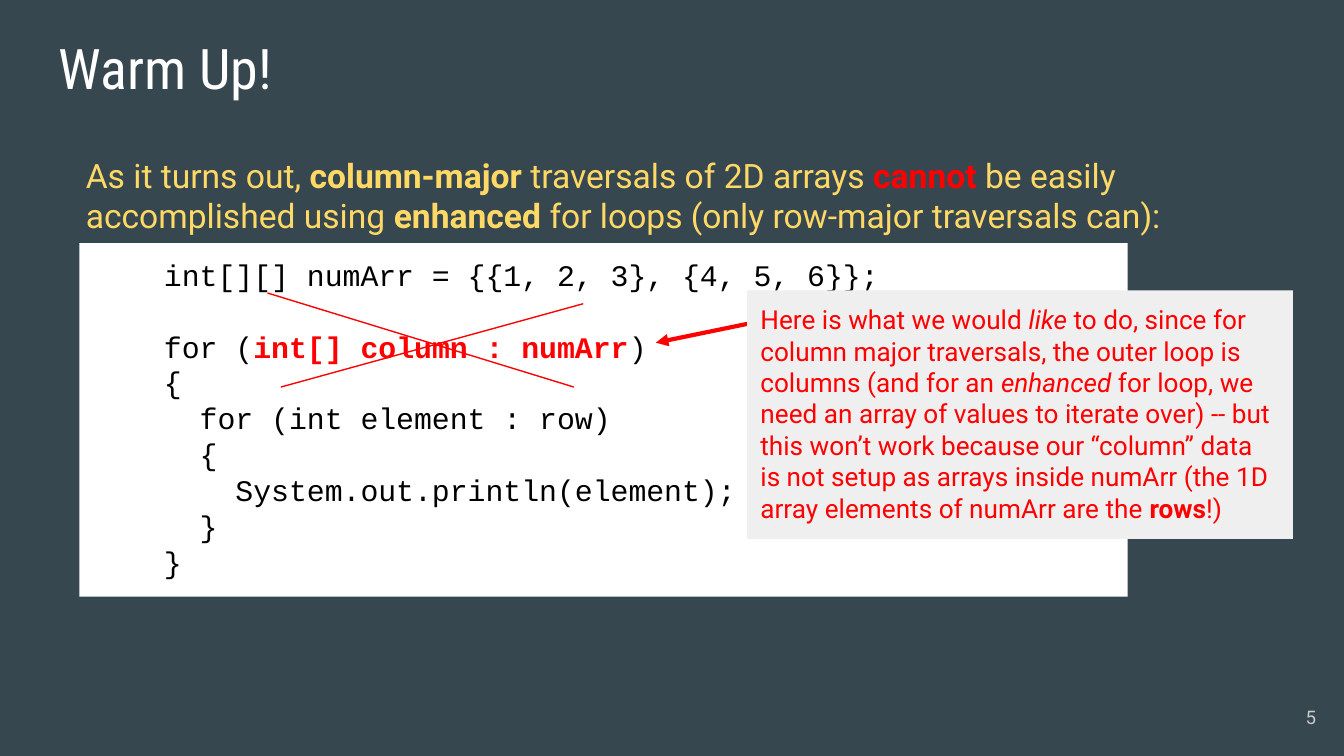
from dataclasses import dataclass
from typing import NamedTuple, Optional

from lxml import etree
from pptx import Presentation
from pptx.dml.color import RGBColor
from pptx.enum.shapes import MSO_CONNECTOR, MSO_SHAPE
from pptx.enum.text import MSO_ANCHOR, PP_ALIGN
from pptx.oxml.ns import qn
from pptx.util import Inches, Pt

RECT = MSO_SHAPE.RECTANGLE
STRAIGHT = MSO_CONNECTOR.STRAIGHT
TOP, MIDDLE = MSO_ANCHOR.TOP, MSO_ANCHOR.MIDDLE
LEFT, RIGHT = PP_ALIGN.LEFT, PP_ALIGN.RIGHT

SLATE = RGBColor(0x37, 0x47, 0x4F)
WHITE = RGBColor(0xFF, 0xFF, 0xFF)
BLACK = RGBColor(0, 0, 0)
RED = RGBColor(0xFF, 0, 0)
GOLD = RGBColor(0xFF, 0xD9, 0x66)
PALE = RGBColor(0xEF, 0xEF, 0xEF)
SILVER = RGBColor(0xCA, 0xCA, 0xCA)


class Span(NamedTuple):
    text: str
    bold: Optional[bool] = None
    slant: Optional[bool] = None
    color: Optional[RGBColor] = None


@dataclass
class Block:
    box: tuple[float, float, float, float]
    lines: list[list[Span]]
    face: str
    size: int
    color: RGBColor
    fill: Optional[RGBColor] = None
    align: PP_ALIGN = LEFT
    anchor: MSO_ANCHOR = TOP
    pitch: Optional[float] = None  # line pitch in points
    inset: float = 0.1  # right margin


class Stroke(NamedTuple):
    start: tuple[float, float]
    end: tuple[float, float]
    width: float = 0.75
    arrow: bool = False


def draw_block(slide, block: Block):
    box = [Inches(v) for v in block.box]
    if block.fill is None:
        shape = slide.shapes.add_textbox(*box)
    else:
        shape = slide.shapes.add_shape(RECT, *box)
        shape.shadow.inherit = False
        shape.fill.solid()
        shape.fill.fore_color.rgb = block.fill
        shape.line.fill.background()
    frame = shape.text_frame
    frame.word_wrap = True
    frame.vertical_anchor = block.anchor
    frame.margin_left = frame.margin_top = frame.margin_bottom = Inches(0.1)
    frame.margin_right = Inches(block.inset)
    gap = 0
    para = None
    for spans in block.lines:
        if not spans:  # an empty code line becomes space before the next
            gap += block.pitch
            continue
        para = frame.paragraphs[0] if para is None else frame.add_paragraph()
        para.alignment = block.align
        if block.pitch:
            para.line_spacing = Pt(block.pitch)
        if gap:
            para.space_before = Pt(gap)
            gap = 0
        para.font.name = block.face
        para.font.size = Pt(block.size)
        para.font.color.rgb = block.color
        for span in spans:
            run = para.add_run()
            run.text = span.text
            run.font.bold = span.bold
            run.font.italic = span.slant
            if span.color is not None:
                run.font.color.rgb = span.color


def draw_stroke(slide, stroke: Stroke):
    ends = [Inches(v) for v in stroke.start + stroke.end]
    link = slide.shapes.add_connector(STRAIGHT, *ends)
    link.line.color.rgb = RED
    link.line.width = Pt(stroke.width)
    props = link._element.spPr
    if stroke.arrow:
        etree.SubElement(props.find(qn("a:ln")), qn("a:tailEnd"), type="triangle")
    etree.SubElement(props, qn("a:effectLst"))


TITLE = Block((0.34, 0.15, 9.32, 0.63), [[Span("Warm Up!")]],
              "Roboto Condensed", 30, WHITE)

NUMBER = Block((9.29, 5.12, 0.6, 0.43), [[Span("5")]], "Roboto", 10, SILVER,
               align=RIGHT, anchor=MIDDLE)

INTRO = Block((0.54, 1.05, 9.15, 1.11), [[
    Span("As it turns out, "),
    Span("column-major", bold=True),
    Span(" traversals of 2D arrays "),
    Span("cannot ", bold=True, color=RED),
    Span("be easily accomplished using "),
    Span("enhanced ", bold=True),
    Span("for loops (only row-major traversals can):"),
]], "Roboto", 18, GOLD)

CODE = Block((0.59, 1.81, 7.8, 2.63), [
    [Span("    int[][] numArr = {{1, 2, 3}, {4, 5, 6}};")],
    [],
    [Span("    for ("),
     Span("int[] column : numArr", bold=True, color=RED),
     Span(")")],
    [Span("    {")],
    [Span("      for (int element : row)")],
    [Span("      {")],
    [Span("        System.out.println(element);")],
    [Span("      }")],
    [Span("    }")],
], "Courier New", 16, BLACK, fill=WHITE, pitch=19.2)

REMARK = Block((5.56, 2.16, 4.06, 1.85), [[
    Span("Here is what we would "),
    Span("like ", slant=True),
    Span("to do, since for column major traversals, the outer loop is "
         "columns (and for an "),
    Span("enhanced ", slant=True),
    Span("for loop, we need an array of values to iterate over) -- but this "
         "won’t work because our “column” data is not setup as arrays inside "
         "numArr (the 1D array elements of numArr are the "),
    Span("rows", bold=True),
    Span("!)"),
]], "Roboto", 14, RED, fill=PALE, pitch=16.8, inset=0.13)

POINTER = Stroke((5.56, 2.41), (4.88, 2.55), 2.25, arrow=True)
CROSS = [Stroke((1.99, 2.18), (4.27, 2.88)),
         Stroke((2.09, 2.88), (4.34, 2.26))]


def main():
    deck = Presentation()
    deck.slide_width = Inches(10)
    deck.slide_height = Inches(10 * 9 / 16)
    slide = deck.slides.add_slide(deck.slide_layouts[6])
    slide.background.fill.solid()
    slide.background.fill.fore_color.rgb = SLATE

    # Heading, page number, intro and code
    for block in (TITLE, NUMBER, INTRO, CODE):
        draw_block(slide, block)

    # Remark with its pointer
    draw_stroke(slide, POINTER)
    draw_block(slide, REMARK)

    # Cross over the faulty loop
    for stroke in CROSS:
        draw_stroke(slide, stroke)

    deck.save("out.pptx")


if __name__ == "__main__":
    main()
